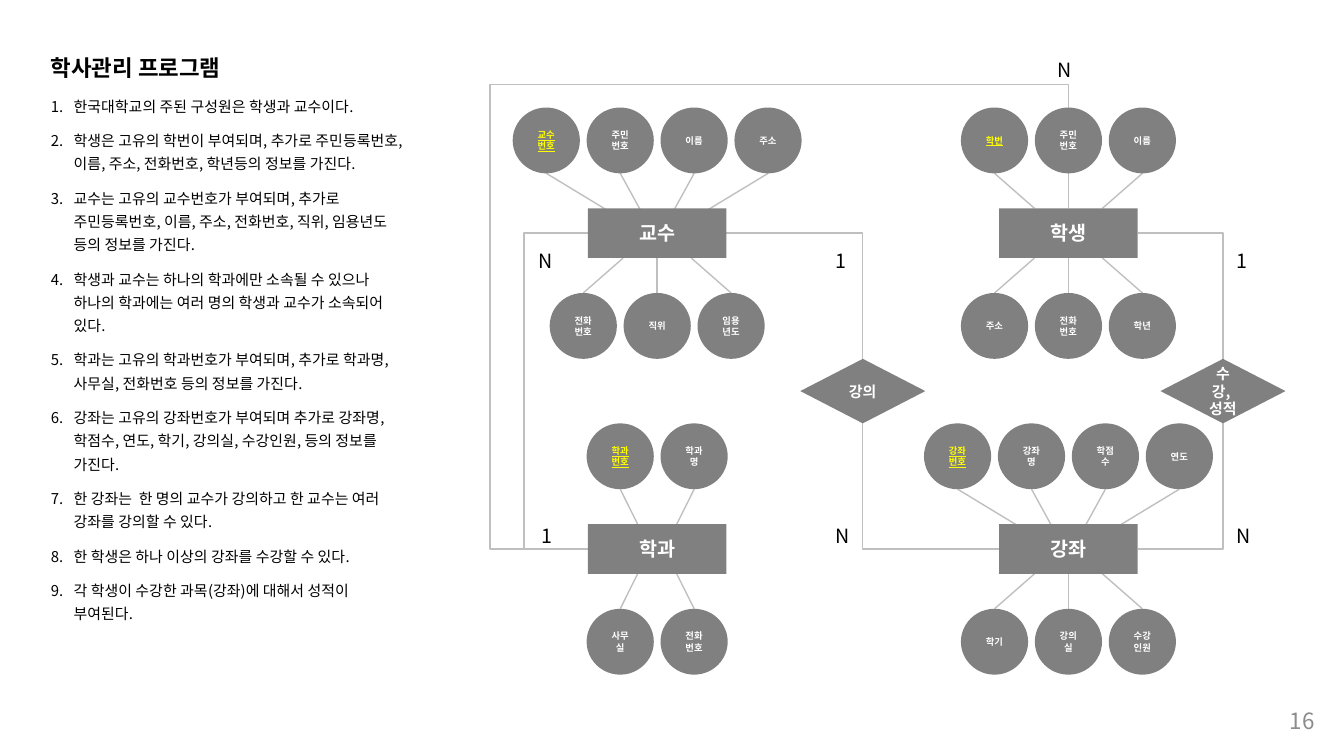
import pptx
import pptx.dml.color
import pptx.enum.shapes
import pptx.enum.text
import pptx.oxml
import pptx.oxml.ns
import pptx.util

Inches, Pt = pptx.util.Inches, pptx.util.Pt
RGB = pptx.dml.color.RGBColor
Kind = pptx.enum.shapes.MSO_SHAPE
Link = pptx.enum.shapes.MSO_CONNECTOR
Align = pptx.enum.text.PP_ALIGN
Anchor = pptx.enum.text.MSO_ANCHOR
qn = pptx.oxml.ns.qn

FONT = "Noto Sans CJK KR"
NODE = RGB(0x80, 0x80, 0x80)
LINE = RGB(0xBF, 0xBF, 0xBF)
WHITE = RGB(0xFF, 0xFF, 0xFF)
KEY = RGB(0xFF, 0xFF, 0x00)
BLACK = RGB(0, 0, 0)
PAGE_GRAY = RGB(0x8C, 0x8C, 0x8C)

# Content
TITLE = "학사관리 프로그램"
RULES = [
    "한국대학교의 주된 구성원은 학생과 교수이다.",
    "학생은 고유의 학번이 부여되며, 추가로 주민등록번호, 이름, 주소, 전화번호, 학년등의 정보를 가진다.",
    "교수는 고유의 교수번호가 부여되며, 추가로 주민등록번호, 이름, 주소, 전화번호, 직위, 임용년도 등의 정보를 가진다.",
    "학생과 교수는 하나의 학과에만 소속될 수 있으나 하나의 학과에는 여러 명의 학생과 교수가 소속되어 있다.",
    "학과는 고유의 학과번호가 부여되며, 추가로 학과명, 사무실, 전화번호 등의 정보를 가진다.",
    "강좌는 고유의 강좌번호가 부여되며 추가로 강좌명, 학점수, 연도, 학기, 강의실, 수강인원, 등의 정보를 가진다.",
    "한 강좌는  한 명의 교수가 강의하고 한 교수는 여러 강좌를 강의할 수 있다.",
    "한 학생은 하나 이상의 강좌를 수강할 수 있다.",
    "각 학생이 수강한 과목(강좌)에 대해서 성적이 부여된다.",
]
LEFT, RIGHT = 4.89, 7.95    # entity centres
UPPER, LOWER = 1.55, 3.9    # entity tops
# name, centre, top, attributes above (first is the key), attributes below
ENTITIES = [
    ("교수", LEFT, UPPER, ["교수번호", "주민번호", "이름", "주소"], ["전화번호", "직위", "임용년도"]),
    ("학생", RIGHT, UPPER, ["학번", "주민번호", "이름"], ["주소", "전화번호", "학년"]),
    ("학과", LEFT, LOWER, ["학과번호", "학과명"], ["사무실", "전화번호"]),
    ("강좌", RIGHT, LOWER, ["강좌번호", "강좌명", "학점수", "연도"], ["학기", "강의실", "수강인원"]),
]
ENROL_X = 9.1
RELATIONS = [(["강의"], 6.42), (["수강, ", "성적"], ENROL_X)]
CARDINALITIES = [
    ("N", 6.12, 3.82, Align.LEFT), ("1", 6.12, 1.77, Align.LEFT),
    ("1", ENROL_X, 1.77, Align.LEFT), ("N", ENROL_X, 3.82, Align.LEFT),
    ("1", 3.75, 3.82, Align.RIGHT), ("N", 3.75, 1.77, Align.RIGHT),
    ("N", 7.61, 0.35, Align.RIGHT),
]

BOX_W, BOX_H = 1.03, 0.37
OVAL_W, OVAL_H, PITCH = 0.5, 0.49, 0.55
RISE, DROP = 0.75, 0.63     # entity top to the ovals above and below
SPOKE_RATIO = {2: 0.53, 3: 0.46, 4: 0.36}
DIAMOND_W, DIAMOND_H, DIAMOND_TOP = 0.93, 0.48, 2.67

prs = pptx.Presentation()
prs.slide_width = Inches(10)
prs.slide_height = prs.slide_width * 9 // 16
shapes = prs.slides.add_slide(prs.slide_layouts[6]).shapes


def add_run(paragraph, text, size, color, bold=False, underline=None):
    run = paragraph.add_run()
    run.text = text
    font = run.font
    font.name, font.size, font.bold, font.underline = FONT, Pt(size), bold, underline
    font.color.rgb = color
    run._r.rPr.set("kern", "0")
    east_asian = pptx.oxml.parse_xml(
        f'<a:ea {pptx.oxml.ns.nsdecls("a")} typeface="{FONT}"/>')
    run._r.rPr.find(qn("a:latin")).addnext(east_asian)


def add_node(kind, left, top, width, height, lines, size, color=WHITE, underline=None):
    node = shapes.add_shape(kind, *map(Inches, (left, top, width, height)))
    node.shadow.inherit = False
    node.fill.solid()
    node.fill.fore_color.rgb = NODE
    node.line.fill.background()
    frame = node.text_frame
    frame.word_wrap, frame.vertical_anchor = True, Anchor.MIDDLE
    paragraph = frame.paragraphs[0]
    paragraph.alignment = Align.CENTER
    for i, line in enumerate(lines):
        if i:
            paragraph.add_line_break()
        add_run(paragraph, line, size, color, True, underline)
    return frame


def add_link(kind, x1, y1, x2, y2):
    link = shapes.add_connector(kind, *map(Inches, (x1, y1, x2, y2)))
    link.line.color.rgb, link.line.width = LINE, Pt(0.75)
    link._element.spPr.append(
        pptx.oxml.parse_xml(f'<a:effectLst {pptx.oxml.ns.nsdecls("a")}/>'))
    return link


def add_bracket(x, side_x):
    """Join the middles of an upper and a lower entity round one side."""
    start, *rest = [(Inches(px), Inches(py)) for px, py in
                    ((x, UPPER_MID), (side_x, UPPER_MID), (side_x, LOWER_MID), (x, LOWER_MID))]
    builder = shapes.build_freeform(*start)
    builder.add_line_segments(rest, close=False)
    bracket = builder.convert_to_shape()
    bracket.shadow.inherit = False
    bracket.fill.background()
    bracket.line.color.rgb, bracket.line.width = LINE, Pt(0.75)


def add_text_box(left, top, width, height, anchor):
    frame = shapes.add_textbox(*map(Inches, (left, top, width, height))).text_frame
    frame.word_wrap, frame.vertical_anchor = True, anchor
    return frame


def set_indent(paragraph, indent):
    pPr = paragraph._p.get_or_add_pPr()
    pPr.set("marL", str(Inches(indent)))
    pPr.set("indent", str(-Inches(indent)))
    return pPr


# Links between entities
UPPER_MID, LOWER_MID = UPPER + BOX_H / 2, LOWER + BOX_H / 2
left_edge, left_end = LEFT - BOX_W / 2, LEFT + BOX_W / 2
right_edge, right_end = RIGHT - BOX_W / 2, RIGHT + BOX_W / 2

belongs = add_link(Link.ELBOW, left_edge, LOWER_MID, RIGHT, 0.94)
geometry = belongs._element.spPr.find(qn("a:prstGeom"))
geometry.set("prst", "bentConnector4")
for name, value in (("adj1", -20400), ("adj2", 109900)):
    guide = geometry.get_or_add_avLst()._add_gd()
    guide.set("name", name)
    guide.set("fmla", f"val {value}")
add_bracket(left_edge, 3.9)
add_link(Link.ELBOW, left_end, UPPER_MID, right_edge, LOWER_MID)
add_bracket(right_end, ENROL_X)

# Entities with their attributes
for name, center, top, above, below in ENTITIES:
    rows = [(above, top - RISE, top - RISE + OVAL_H, top, 1),
            (below, top + DROP, top + DROP, top + BOX_H, -1)]
    for attributes, oval_top, spoke_y, edge_y, inward in rows:
        count = len(attributes)
        inset = 0.06 * inward if count == 4 else 0
        for i, attribute in enumerate(attributes):
            offset = (i - (count - 1) / 2) * PITCH
            is_key = attributes is above and i == 0
            add_link(Link.STRAIGHT, center + offset, spoke_y,
                     center + offset * SPOKE_RATIO[count], edge_y + inset)
            add_node(Kind.OVAL, center + offset - OVAL_W / 2, oval_top, OVAL_W, OVAL_H,
                     [attribute], 5, KEY if is_key else WHITE, is_key or None)
    add_node(Kind.RECTANGLE, center - BOX_W / 2, top, BOX_W, BOX_H, [name], 10.5)

# Relations and cardinalities
for lines, center in RELATIONS:
    frame = add_node(Kind.DIAMOND, center - DIAMOND_W / 2, DIAMOND_TOP,
                     DIAMOND_W, DIAMOND_H, lines, 8)
    frame.margin_left = frame.margin_right = Inches(0.12)
    frame.paragraphs[0]._p.get_or_add_pPr().set("hangingPunct", "0")
for mark, left, top, alignment in CARDINALITIES:
    paragraph = add_text_box(left, top, 0.46, 0.16, Anchor.MIDDLE).paragraphs[0]
    set_indent(paragraph, 0.1)
    paragraph.alignment, paragraph.line_spacing = alignment, 2.0
    add_run(paragraph, mark, 10.5, BLACK)

# Title and numbered rules
rules_frame = add_text_box(0.28, 0.29, 2.83, 4.62, Anchor.TOP)
rules_frame.auto_size = pptx.enum.text.MSO_AUTO_SIZE.SHAPE_TO_FIT_TEXT
for i, text in enumerate([TITLE] + RULES):
    paragraph = rules_frame.add_paragraph() if i else rules_frame.paragraphs[0]
    if i:
        set_indent(paragraph, 0.17).append(pptx.oxml.parse_xml(
            f'<a:buAutoNum {pptx.oxml.ns.nsdecls("a")} type="arabicPeriod"/>'))
    paragraph.line_spacing, paragraph.space_after = 1.3, Pt(6)
    add_run(paragraph, text, 8 if i else 12, BLACK, bold=not i)

# Page number
page = add_text_box(9.32, 5.21, 0.56, 0.3, Anchor.MIDDLE).paragraphs[0]
page.alignment = Align.RIGHT
add_run(page, "16", 12, PAGE_GRAY)

prs.save("out.pptx")
